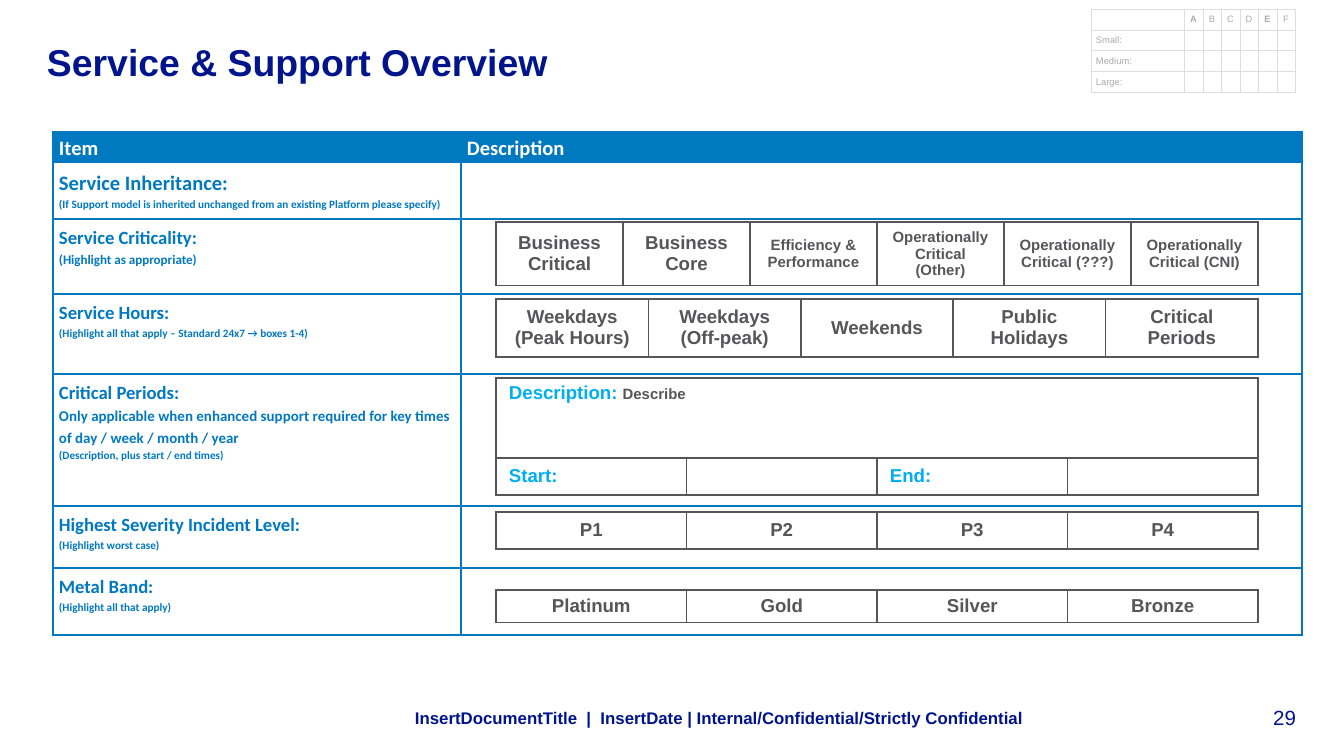
from lxml.etree import SubElement
from pptx import Presentation
from pptx.dml.color import RGBColor
from pptx.enum.text import MSO_ANCHOR as Anchor, PP_ALIGN as Align
from pptx.oxml import parse_xml
from pptx.oxml.ns import nsdecls, qn
from pptx.util import Pt

EMU_PER_PX = 914400 / 134.4
NAVY = RGBColor(0x00, 0x14, 0x8C)
BLUE = RGBColor(0x00, 0x79, 0xC1)
CYAN = RGBColor(0x00, 0xAF, 0xF0)
GRAY = RGBColor(0x55, 0x55, 0x5A)
SILVER = RGBColor(0xAA, 0xAA, 0xAC)
PALE = RGBColor(0xDD, 0xDD, 0xDE)
WHITE = RGBColor(0xFF, 0xFF, 0xFF)

GRID_LEFT, GRID_WIDTH = 496, 762


def px(length):
    return round(length * EMU_PER_PX)


class SlideBuilder:
    def __init__(self, width, height):
        self.deck = Presentation()
        self.deck.slide_width, self.deck.slide_height = px(width), px(height)
        self.page = self.deck.slides.add_slide(self.deck.slide_layouts[6])

    def style(self, font, size, color, bold=True, name="Arial"):
        font.name, font.size, font.bold = name, Pt(size), bold
        font.color.rgb = color

    def text(self, left, top, width, height, words, size, bold=True,
             align=Align.LEFT, anchor=Anchor.TOP, inset=0):
        box = self.page.shapes.add_textbox(px(left), px(top), px(width), px(height))
        frame = box.text_frame
        frame.word_wrap = True
        frame.vertical_anchor = anchor
        frame.margin_left = frame.margin_right = px(inset)
        frame.margin_top = frame.margin_bottom = 0
        para = frame.paragraphs[0]
        para.text, para.alignment = words, align
        self.style(para.font, size, NAVY, bold)

    def table(self, left, top, columns, rows, color, line, inset):
        """Add an unfilled, bordered table; inset is (side, top and bottom)."""
        table = self.page.shapes.add_table(
            len(rows), len(columns), px(left), px(top),
            px(sum(columns)), px(sum(rows))).table
        table.first_row = table.horz_banding = False
        for column, width in zip(table.columns, columns):
            column.width = px(width)
        for row, height in zip(table.rows, rows):
            row.height = px(height)
        for cell in table.iter_cells():
            cell.fill.background()
            cell.margin_left = cell.margin_right = px(inset[0])
            cell.margin_top = cell.margin_bottom = px(inset[1])
            cell.vertical_anchor = Anchor.MIDDLE
            self.borders(cell, color, line)
            # Small end mark, so that empty cells do not stretch their row
            end_mark = SubElement(cell.text_frame.paragraphs[0]._p, qn("a:endParaRPr"))
            end_mark.set("sz", "500")
        return table

    def borders(self, cell, color, line):
        properties = cell._tc.get_or_add_tcPr()
        for index, side in enumerate("LRTB"):
            properties.insert(index, parse_xml(
                f'<a:ln{side} {nsdecls("a")} w="{Pt(line)}"><a:solidFill>'
                f'<a:srgbClr val="{color}"/></a:solidFill></a:ln{side}>'))

    def label(self, cell, words, size, color, bold=True, align=Align.LEFT):
        para = cell.text_frame.paragraphs[0]
        para.text, para.alignment = words, align
        self.style(para.font, size, color, bold)
        return para

    def item(self, cell, lines, color=BLUE):
        """Put (words, size) lines at the top of an overview cell."""
        cell.vertical_anchor = Anchor.TOP
        frame = cell.text_frame
        for index, (words, size) in enumerate(lines):
            para = frame.add_paragraph() if index else frame.paragraphs[0]
            para.text, para.line_spacing = words, 1.15
            self.style(para.font, size, color, name="Calibri")

    def grid(self, top, count, rows):
        return self.table(GRID_LEFT, top, [GRID_WIDTH / count] * count, rows,
                          GRAY, 1, (13, 5))

    def choices(self, top, height, options):
        """Add one row of equal boxes from (words, size) pairs."""
        table = self.grid(top, len(options), [height])
        for cell, (words, size) in zip(table.iter_cells(), options):
            self.label(cell, words, size, GRAY, align=Align.CENTER)


ITEMS = [
    [("Service Inheritance:", 11),
     ("(If Support model is inherited unchanged from an existing Platform please specify)", 6)],
    [("Service Criticality:", 10), ("(Highlight as appropriate)", 7)],
    [("Service Hours:", 10),
     ("(Highlight all that apply – Standard 24x7 → boxes 1-4)", 6)],
    [("Critical Periods:", 10),
     ("Only applicable when enhanced support required for key times "
      "of day / week / month / year", 8),
     ("(Description, plus start / end times)", 6)],
    [("Highest Severity Incident Level:", 10), ("(Highlight worst case)", 6)],
    [("Metal Band:", 10), ("(Highlight all that apply)", 6)],
]
CRITICALITY = [
    ("Business Critical", 10), ("Business Core", 10),
    ("Efficiency & Performance", 8), ("Operationally Critical (Other)", 8),
    ("Operationally Critical (???)", 8), ("Operationally Critical (CNI)", 8),
]
HOURS = ["Weekdays\v(Peak Hours)", "Weekdays\v(Off-peak)", "Weekends",
         "Public Holidays", "Critical Periods"]
SEVERITIES = ["P1", "P2", "P3", "P4"]
BANDS = ["Platinum", "Gold", "Silver", "Bronze"]


def add_size_matrix(slide):
    matrix = slide.table(1091, 9, [93] + [19, 18] * 3, [21] * 4, PALE, 0.5, (5, 0))
    for column, letter in enumerate("ABCDEF", 1):
        slide.label(matrix.cell(0, column), letter, 5, SILVER,
                    bold=letter in "AE", align=Align.CENTER)
    for row, size_name in enumerate(["Small:", "Medium:", "Large:"], 1):
        slide.label(matrix.cell(row, 0), size_name, 5, SILVER, bold=False)


def add_overview(slide):
    overview = slide.table(53, 132, [408, 841], [30, 57, 75, 80, 132, 62, 67],
                           BLUE, 1, (6, 5))
    for column, heading in enumerate(["Item", "Description"]):
        cell = overview.cell(0, column)
        cell.fill.solid()
        cell.fill.fore_color.rgb = BLUE
        cell.margin_top = cell.margin_bottom = 0
        slide.item(cell, [(heading, 11)], WHITE)
    for row, lines in enumerate(ITEMS, 1):
        slide.item(overview.cell(row, 0), lines)


def add_critical_periods(slide):
    periods = slide.grid(378, 4, [80, 37])
    description = periods.cell(0, 0)
    description.merge(periods.cell(0, 3))
    description.vertical_anchor = Anchor.TOP
    para = slide.label(description, "Description: ", 10, CYAN)
    span = para.add_run()
    span.text = "Describe"
    slide.style(span.font, 8, GRAY)
    slide.label(periods.cell(1, 0), "Start:", 10, CYAN)
    slide.label(periods.cell(1, 2), "End:", 10, CYAN)


def main():
    slide = SlideBuilder(1344, 756)
    slide.text(1218, 704, 78, 26, "29", 11, bold=False,
               align=Align.RIGHT, anchor=Anchor.BOTTOM)
    add_size_matrix(slide)
    slide.text(47, 39, 951, 63, "Service & Support Overview", 20)
    add_overview(slide)
    slide.choices(222, 62, CRITICALITY)
    for top, height, options in [(299, 58, HOURS), (512, 37, SEVERITIES),
                                 (590, 32, BANDS)]:
        slide.choices(top, height, [(words, 10) for words in options])
    add_critical_periods(slide)
    slide.text(402, 700, 851, 35,
               "InsertDocumentTitle  |  InsertDate | Internal/Confidential/Strictly Confidential",
               9, anchor=Anchor.MIDDLE, inset=13)
    slide.deck.save("out.pptx")


if __name__ == "__main__":
    main()
